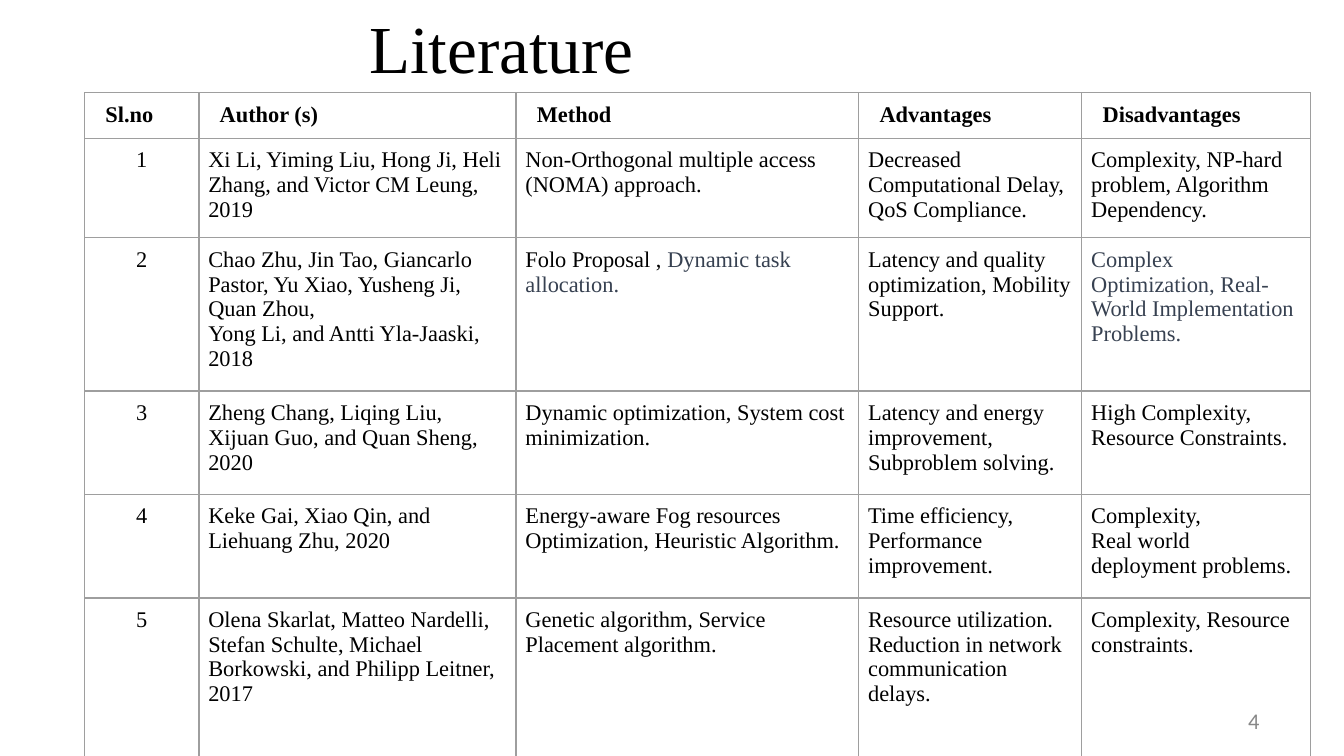
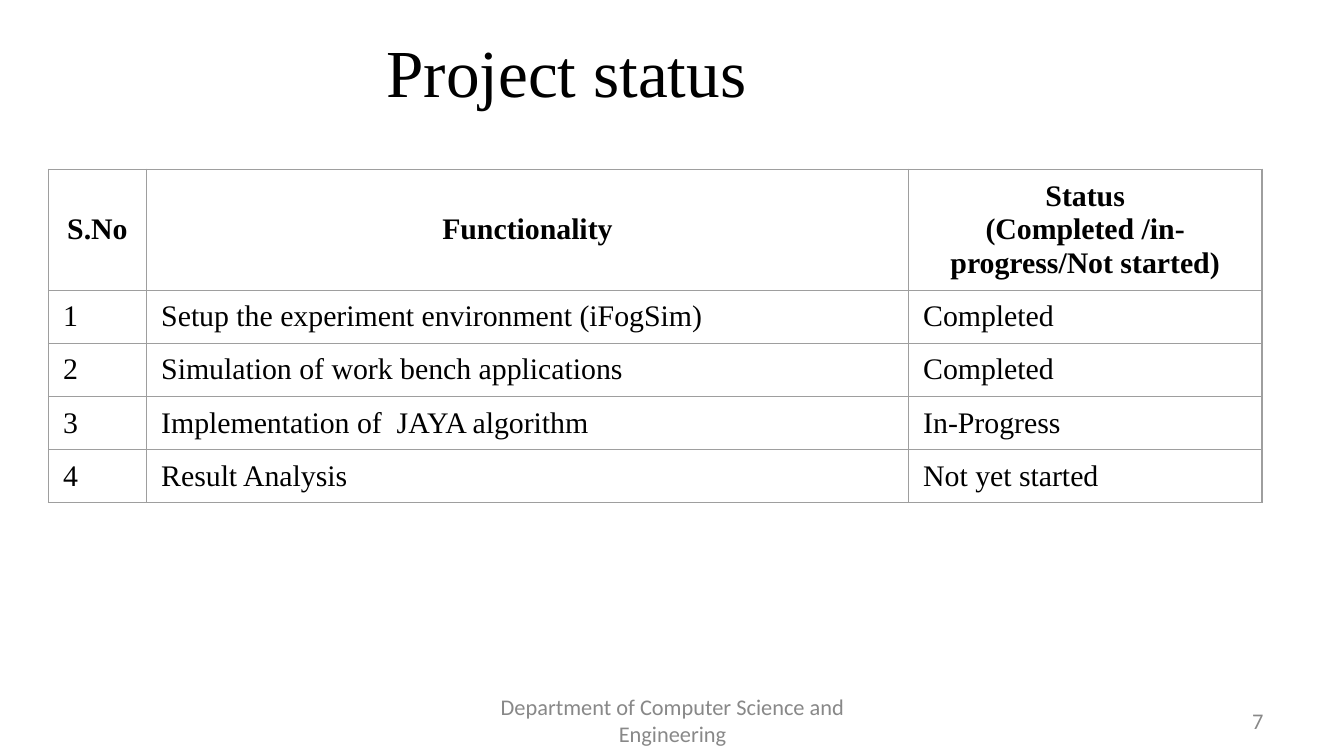
from dataclasses import dataclass

from lxml import etree
from pptx import Presentation
from pptx import util as u
from pptx.dml.color import RGBColor
from pptx.enum import text
from pptx.oxml import ns


@dataclass(frozen=True)
class Theme:
    ink: str = "000000"
    muted: str = "374151"
    footer: str = "888888"
    border: str = "9E9E9E"
    serif: str = "Times New Roman"
    sans: str = "Calibri"
    title_size: int = 36
    status_size: int = 16
    small_size: int = 12
    border_width: float = 0.75


@dataclass(frozen=True)
class TableStyle:
    size: int
    margin_x: float
    margin_y: float
    header_indent: float
    header_align: int
    number_align: int
    anchor: int


THEME = Theme()
LEFT, CENTER, RIGHT = text.PP_ALIGN.LEFT, text.PP_ALIGN.CENTER, text.PP_ALIGN.RIGHT
TOP, MIDDLE = text.MSO_ANCHOR.TOP, text.MSO_ANCHOR.MIDDLE

# The slide is a grid of 100 columns; rows are as tall as columns are wide.
SLIDE_WIDTH, SLIDE_HEIGHT = u.Inches(10), u.Inches(5.625)
UNIT = SLIDE_WIDTH / 100
TITLE_WIDTH, TITLE_HEIGHT = 66.9, 6.9
FOOTER_TOP, FOOTER_HEIGHT = 52.1, 3
MUTED_MARK = "|"  # text after the mark takes the muted colour

LITERATURE_STYLE = TableStyle(THEME.small_size, 0.7, 0.7, 0.85, LEFT, CENTER, TOP)
STATUS_STYLE = TableStyle(THEME.status_size, 1.1, 0.5, 0, CENTER, LEFT, MIDDLE)

LITERATURE = [
    ["Sl.no", "Author (s)", "Method", "Advantages", "Disadvantages"],
    ["1", "Xi Li, Yiming Liu, Hong Ji, Heli Zhang, and Victor CM Leung, 2019",
     "Non-Orthogonal multiple access (NOMA) approach.",
     "Decreased Computational Delay, QoS Compliance.",
     "Complexity, NP-hard problem, Algorithm Dependency."],
    ["2", "Chao Zhu, Jin Tao, Giancarlo Pastor, Yu Xiao, Yusheng Ji, Quan Zhou,\n"
          "Yong Li, and Antti Yla-Jaaski, 2018",
     "Folo Proposal , |Dynamic task allocation.",
     "Latency and quality optimization, Mobility Support.",
     "|Complex Optimization, Real-World Implementation Problems."],
    ["3", "Zheng Chang, Liqing Liu, Xijuan Guo, and Quan Sheng, 2020",
     "Dynamic optimization, System cost minimization.",
     "Latency and energy improvement, Subproblem solving.",
     "High Complexity,\nResource Constraints."],
    ["4", "Keke Gai, Xiao Qin, and Liehuang Zhu, 2020",
     "Energy-aware Fog resources Optimization, Heuristic Algorithm.",
     "Time efficiency, Performance improvement.",
     "Complexity,\nReal world deployment problems."],
    ["5", "Olena Skarlat, Matteo Nardelli, Stefan Schulte, Michael Borkowski, "
          "and Philipp Leitner, 2017",
     "Genetic algorithm, Service Placement algorithm.",
     "Resource utilization. Reduction in network communication delays.",
     "Complexity, Resource constraints."],
]

STATUS = [
    ["S.No", "Functionality", "Status\n(Completed /in-progress/Not started)"],
    ["1", "Setup the experiment environment (iFogSim)", "Completed"],
    ["2", "Simulation of work bench applications", "Completed"],
    ["3", "Implementation of  JAYA algorithm", "In-Progress"],
    ["4", "Result Analysis", "Not yet started"],
]


def grid(count):
    return u.Emu(round(count * UNIT))


def format_span(span, font, size, colour, bold=False):
    span.font.name = font
    span.font.size = u.Pt(size)
    span.font.bold = bold
    span.font.color.rgb = RGBColor.from_string(colour)


def add_text(page, words, left, top, width, height, align, font, size, colour):
    box = page.shapes.add_textbox(grid(left), grid(top), grid(width), grid(height))
    frame = box.text_frame
    frame.word_wrap = True
    frame.vertical_anchor = MIDDLE
    frame.text = words
    para = frame.paragraphs[0]
    para.alignment = align
    format_span(para.runs[0], font, size, colour)


def add_title(page, words, left, top):
    add_text(page, words, left, top, TITLE_WIDTH, TITLE_HEIGHT, CENTER,
             THEME.serif, THEME.title_size, THEME.ink)


def add_footer(page, words, left, width, align):
    add_text(page, words, left, FOOTER_TOP, width, FOOTER_HEIGHT, align,
             THEME.sans, THEME.small_size, THEME.footer)


def add_page_number(page, number, left):
    add_footer(page, str(number), left, 23.3, RIGHT)


def draw_borders(cell):
    properties = cell._tc.get_or_add_tcPr()
    for side in ("lnL", "lnR", "lnT", "lnB"):
        line = etree.SubElement(properties, ns.qn(f"a:{side}"),
                                w=str(u.Pt(THEME.border_width)))
        fill = etree.SubElement(line, ns.qn("a:solidFill"))
        etree.SubElement(fill, ns.qn("a:srgbClr"), val=THEME.border)


def fill_cell(cell, words, style, align, is_header):
    draw_borders(cell)
    cell.fill.background()
    cell.vertical_anchor = style.anchor
    indent = style.header_indent if is_header else 0
    cell.margin_left = grid(style.margin_x + indent)
    cell.margin_right = grid(style.margin_x)
    cell.margin_top = cell.margin_bottom = grid(style.margin_y)
    cell.text_frame.text = words
    for para in cell.text_frame.paragraphs:
        plain, _, muted = para.text.partition(MUTED_MARK)
        para.text = plain
        para.alignment = align
        for span in para.runs:
            format_span(span, THEME.serif, style.size, THEME.ink, is_header)
        if muted:
            span = para.add_run()
            span.text = muted
            format_span(span, THEME.serif, style.size, THEME.muted)


def add_grid_table(page, content, left, top, columns, rows, style):
    table = page.shapes.add_table(len(rows), len(columns), grid(left), grid(top),
                                  grid(sum(columns)), grid(sum(rows))).table
    table.first_row = table.horz_banding = False
    for column, width in zip(table.columns, columns):
        column.width = grid(width)
    for r, (row, height, entries) in enumerate(zip(table.rows, rows, content)):
        row.height = grid(height)
        for c, (cell, words) in enumerate(zip(row.cells, entries)):
            if r == 0:
                align = style.header_align
            else:
                align = style.number_align if c == 0 else LEFT
            fill_cell(cell, words, style, align, r == 0)


def build_literature(page):
    add_page_number(page, 4, 71.4)
    add_title(page, "Literature ", 4.5, 0)
    add_grid_table(page, LITERATURE, 6.3, 6.9, [8.5, 23.6, 25.5, 16.6, 17],
                   [3.2, 6.9, 10.6, 7.7, 7.7, 13.3], LITERATURE_STYLE)


def build_status(page):
    add_page_number(page, 7, 71.7)
    add_title(page, "Project status", 8.7, 1.8)
    add_grid_table(page, STATUS, 3.6, 12.6, [7.3, 56.7, 26.3],
                   [8.4] + [3.95] * 4, STATUS_STYLE)
    add_footer(page, "Department of Computer Science and Engineering",
               34.2, 31.7, CENTER)


def main():
    deck = Presentation()
    deck.slide_width, deck.slide_height = SLIDE_WIDTH, SLIDE_HEIGHT
    blank = deck.slide_layouts[6]
    for build in (build_literature, build_status):
        build(deck.slides.add_slide(blank))
    deck.save("out.pptx")


if __name__ == "__main__":
    main()
